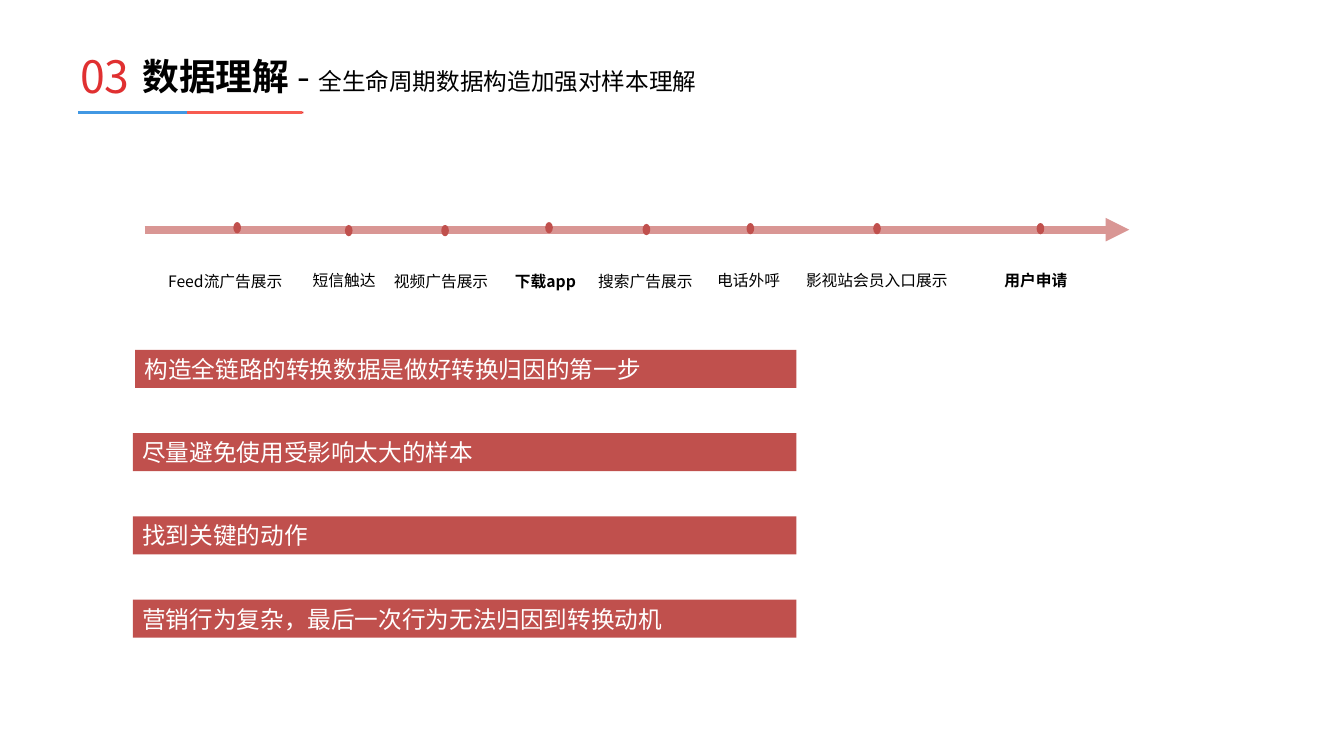
from lxml import etree
from pptx import Presentation
from pptx.dml.color import RGBColor
from pptx.enum.shapes import MSO_CONNECTOR, MSO_SHAPE
from pptx.enum.text import MSO_ANCHOR, PP_ALIGN
from pptx.oxml.ns import qn
from pptx.util import Pt

RECTANGLE, OVAL = MSO_SHAPE.RECTANGLE, MSO_SHAPE.OVAL
STRAIGHT = MSO_CONNECTOR.STRAIGHT
MIDDLE, LEFT = MSO_ANCHOR.MIDDLE, PP_ALIGN.LEFT

BLACK = RGBColor(0x00, 0x00, 0x00)
WHITE = RGBColor(0xFF, 0xFF, 0xFF)
RED = RGBColor(0xE0, 0x30, 0x31)
BLUE = RGBColor(0x41, 0x98, 0xE3)
CORAL = RGBColor(0xF7, 0x5B, 0x50)
BRICK = RGBColor(0xC0, 0x50, 0x4D)
ROSE = RGBColor(0xD9, 0x96, 0x94)
FONT = "Noto Sans CJK SC"

prs = Presentation()
prs.slide_width, prs.slide_height = Pt(1024), Pt(576)
slide = prs.slides.add_slide(prs.slide_layouts[6])
shapes = slide.shapes


def write(shape, runs, color=BLACK):
    """Fill a shape with one left-aligned line of (text, size, bold) runs."""
    frame = shape.text_frame
    frame.word_wrap = True
    paragraph = frame.paragraphs[0]
    paragraph.alignment = LEFT
    for text, size, bold in runs:
        run = paragraph.add_run()
        run.text = text
        font = run.font
        font.size, font.bold, font.name = Pt(size), bold, FONT
        font.color.rgb = color
        east_asian = etree.SubElement(font._element, qn("a:ea"))
        east_asian.set("typeface", FONT)


def add_line(x1, x2, y, color, width):
    line = shapes.add_connector(STRAIGHT, Pt(x1), Pt(y), Pt(x2), Pt(y))
    line.line.color.rgb, line.line.width = color, Pt(width)
    etree.SubElement(line._element.spPr, qn("a:effectLst"))
    return line


# Heading with its two-colour rule
underline = shapes.add_shape(RECTANGLE, Pt(61.2), Pt(85), Pt(170), Pt(1.4))
underline.shadow.inherit = False
underline.fill.solid()
underline.fill.fore_color.rgb = RED
underline.line.fill.background()
add_line(59.8, 147.6, 85.7, BLUE, 2.5)
add_line(142.6, 230.4, 85.7, CORAL, 2.5)

title = shapes.add_textbox(Pt(101.5), Pt(25.9), Pt(768), Pt(63.4))
title.text_frame.vertical_anchor = MIDDLE
write(title, [("数据理解", 28, True), (" - ", 28, False),
              ("全生命周期数据构造加强对样本理解", 18, False)])
section_number = shapes.add_textbox(Pt(54), Pt(25.9), Pt(83.5), Pt(63.4))
section_number.text_frame.vertical_anchor = MIDDLE
write(section_number, [("03", 34, False)], RED)

# Customer timeline
timeline = add_line(110.2, 860.4, 175, ROSE, 6)
etree.SubElement(timeline.line._get_or_add_ln(), qn("a:tailEnd"), type="triangle")

# Touchpoint, dot left and top, label left, top and width, bold
touchpoints = [
    ("Feed流广告展示", 177.8, 169.2, 121, 203.8, 103, False),
    ("短信触达", 262.8, 171.4, 231.1, 203, 63.4, False),
    ("视频广告展示", 336.2, 171.4, 293, 203.8, 87.1, False),
    ("下载app", 415.4, 169.2, 385.2, 203.8, 61.9, True),
    ("搜索广告展示", 489.6, 170.6, 448.6, 203.8, 87.1, False),
    ("电话外呼", 568.8, 169.9, 539.3, 202.6, 63.4, False),
    ("影视站会员入口展示", 665.3, 169.9, 607, 203, 123.8, False),
    ("用户申请", 789.8, 169.9, 758.2, 202.6, 63.4, True),
]
for text, dot_x, dot_y, label_x, label_y, label_width, bold in touchpoints:
    dot = shapes.add_shape(OVAL, Pt(dot_x), Pt(dot_y), Pt(5.8), Pt(8.6))
    dot.shadow.inherit = False
    dot.fill.solid()
    dot.fill.fore_color.rgb = BRICK
    dot.line.fill.background()
    label = shapes.add_textbox(Pt(label_x), Pt(label_y), Pt(label_width), Pt(21.6))
    write(label, [(text, 12, bold)])

# Takeaway bars share a right edge
BAR_RIGHT, BAR_TOP, BAR_STEP = 606.7, 266.6, 63.4
takeaways = [
    ("构造全链路的转换数据是做好转换归因的第一步", 103),
    ("尽量避免使用受影响太大的样本", 101.3),
    ("找到关键的动作", 101.3),
    ("营销行为复杂，最后一次行为无法归因到转换动机", 101.3),
]
for row, (text, left) in enumerate(takeaways):
    bar = shapes.add_shape(RECTANGLE, Pt(left), Pt(BAR_TOP + row * BAR_STEP),
                           Pt(BAR_RIGHT - left), Pt(29))
    bar.shadow.inherit = False
    bar.fill.solid()
    bar.fill.fore_color.rgb = BRICK
    bar.line.fill.background()
    write(bar, [(text, 18, False)], WHITE)

prs.save("out.pptx")
